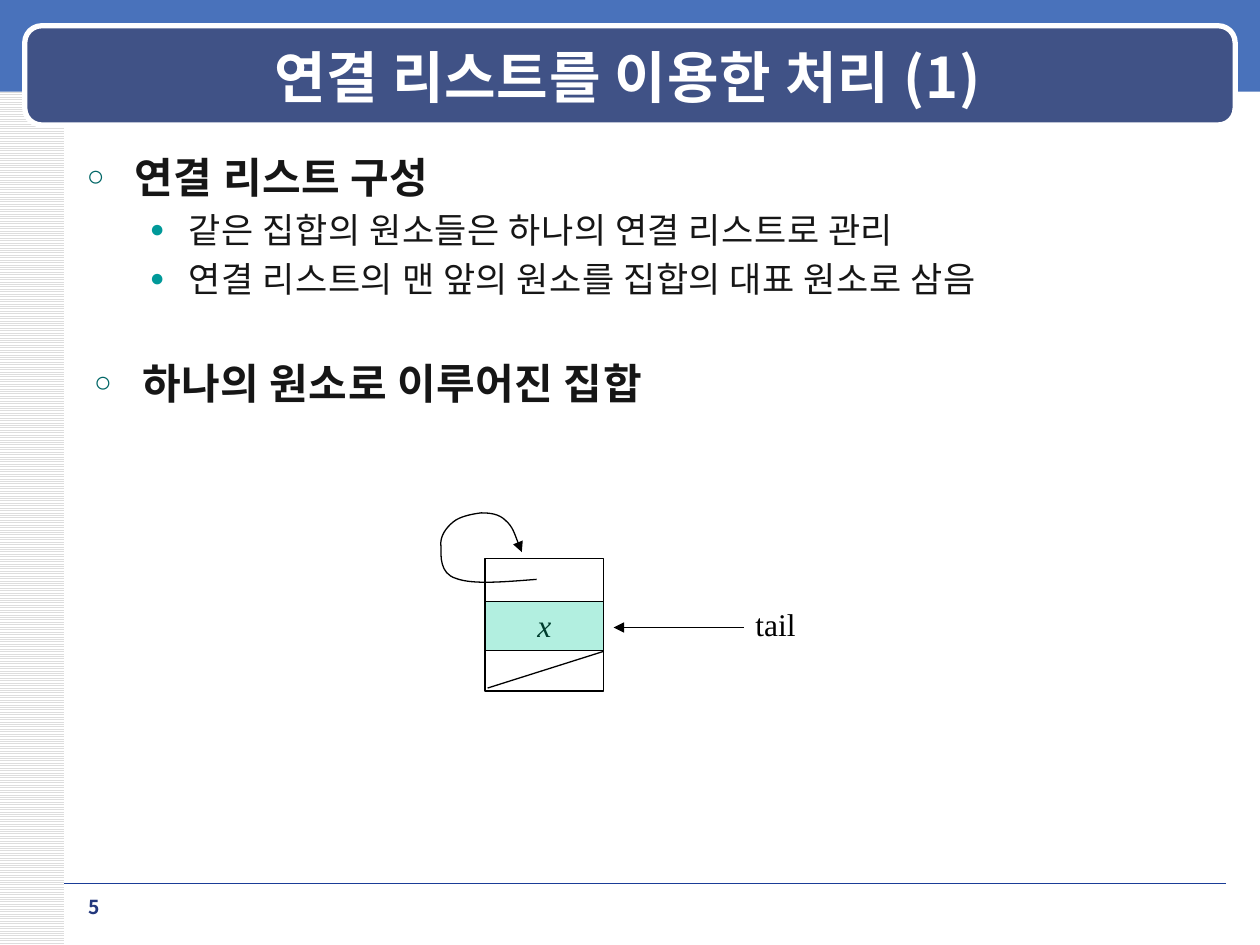
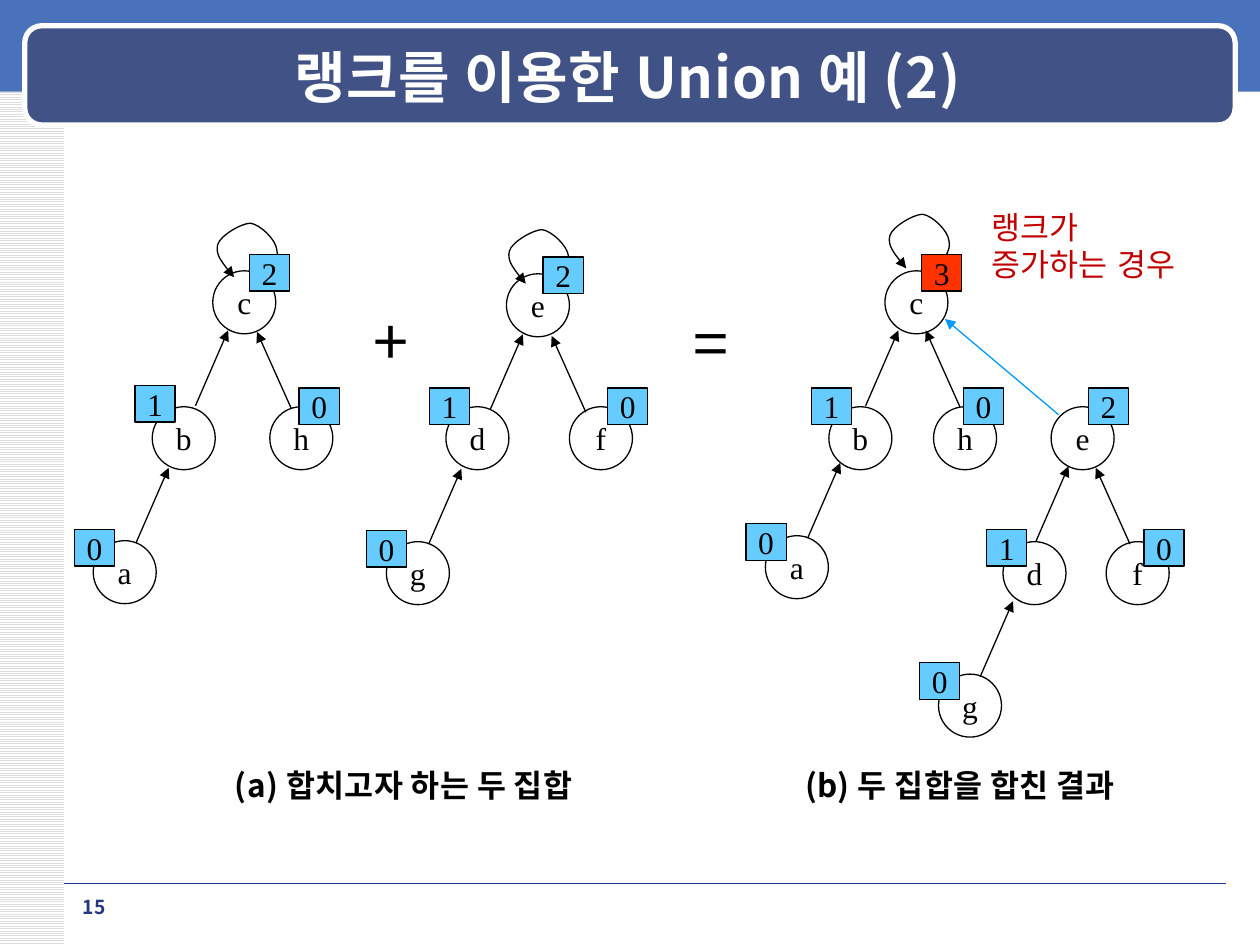
"""Build two lecture slides on disjoint sets: linked lists and union by rank."""
from dataclasses import dataclass

from lxml import etree
from pptx import Presentation
from pptx.dml.color import RGBColor
from pptx.enum.dml import MSO_PATTERN
from pptx.enum.shapes import MSO_CONNECTOR, MSO_SHAPE
from pptx.enum.text import MSO_ANCHOR, PP_ALIGN
from pptx.oxml.ns import qn
from pptx.util import Cm, Pt

RECTANGLE = MSO_SHAPE.RECTANGLE
ROUNDED = MSO_SHAPE.ROUNDED_RECTANGLE
OVAL = MSO_SHAPE.OVAL
STRAIGHT = MSO_CONNECTOR.STRAIGHT
STRIPES = MSO_PATTERN.LIGHT_HORIZONTAL
TOP, MIDDLE = MSO_ANCHOR.TOP, MSO_ANCHOR.MIDDLE
LEFT, CENTER = PP_ALIGN.LEFT, PP_ALIGN.CENTER


@dataclass(frozen=True)
class Theme:
    """Colours, fonts and type sizes of the deck."""
    korean: str = "Noto Sans CJK KR"
    serif: str = "Times New Roman"
    note_font: str = "DejaVu Sans"
    white: str = "FFFFFF"
    black: str = "000000"
    stripe: str = "DDDDDD"
    band: str = "4972BB"
    title_box: str = "405286"
    rule: str = "1A3D97"
    number: str = "23387D"
    body: str = "161616"
    ring: str = "006666"
    dot: str = "009999"
    value: str = "00CC99"
    rank: str = "66CCFF"
    raised: str = "FF3300"
    joined: str = "0099FF"
    note: str = "C00000"
    title_size: int = 32
    sign_size: int = 36
    head_size: int = 24
    item_size: int = 20
    label_size: int = 18
    number_size: int = 11
    thin: float = 0.75
    hairline: float = 0.25
    tracking: float = 1.35


THEME = Theme()
NODE = 1.27
BADGE = (0.81, 0.74)
LEFT_RISE = (0.66, -1.52)
RIGHT_RISE = (-0.69, -1.54)

SELF_LOOP = [
    (0.89, 1.22), (1.09, 0.97), (1.3, 0.74), (1.24, 0.53), (1.22, 0.33),
    (0.91, 0.03), (0.71, 0), (0.53, 0), (0.1, 0.25), (0.05, 0.43),
    (0, 0.61), (0.18, 0.86), (0.38, 1.09)]
LIST_LOOP = [
    (10.82, 11.68), (10.16, 11.73), (9.53, 11.79), (9.19, 11.66),
    (8.86, 11.56), (8.89, 11.2), (8.89, 11.02), (8.86, 10.82),
    (8.99, 10.64), (9.14, 10.52), (9.27, 10.41), (9.53, 10.36),
    (9.7, 10.34), (9.88, 10.34), (10.06, 10.36), (10.19, 10.49),
    (10.34, 10.62), (10.41, 10.87), (10.52, 11.13)]

SELF_LOOP_CORNERS = [(4.34, 4.5), (10.22, 4.63), (17.89, 4.32)]
RANKED_NODES = [
    ("c", (4.29, 5.46), "2", (5.03, 5.13)),
    ("b", (3.07, 8.2), "1", (2.72, 7.77)),
    ("h", (5.44, 8.2), "0", (6.03, 7.82)),
    ("a", (1.88, 10.9), "0", (1.5, 10.67)),
    ("e", (10.21, 5.52), "2", (10.95, 5.18)),
    ("d", (8.99, 8.2), "1", (8.66, 7.82)),
    ("f", (11.48, 8.2), "0", (12.25, 7.82)),
    ("g", (7.79, 10.92), "0", (7.39, 10.69)),
    ("c", (17.84, 5.46), "3", (18.58, 5.13)),
    ("b", (16.71, 8.2), "1", (16.36, 7.82)),
    ("h", (18.82, 8.2), "0", (19.42, 7.82)),
    ("e", (21.19, 8.2), "2", (21.94, 7.82)),
    ("a", (15.43, 10.8), "0", (15.04, 10.56)),
    ("d", (20.22, 10.92), "1", (19.89, 10.67)),
    ("f", (22.3, 10.92), "0", (23.06, 10.67)),
    ("g", (18.92, 13.59), "0", (18.54, 13.36))]
LEFT_CHILD_STARTS = [
    (3.94, 8.18), (2.74, 10.95), (9.88, 8.26), (8.64, 10.97),
    (20.88, 10.92), (16.28, 10.85), (17.45, 8.18), (19.76, 13.64)]
RIGHT_CHILD_STARTS = [(5.87, 8.23), (11.81, 8.31), (22.78, 10.97), (19.35, 8.2)]


def apply(target, values):
    """Set each named attribute of the target."""
    for name, value in values.items():
        setattr(target, name, value)


def add_xml(parent, tag, **attributes):
    """Append a drawing element with its attributes."""
    return etree.SubElement(parent, qn(tag), attributes)


def set_line(shape, color, width, arrow=False):
    """Colour an outline and optionally end it with an arrowhead."""
    shape.line.color.rgb = RGBColor.from_string(color)
    shape.line.width = Pt(width)
    if arrow:
        outline = shape.element.spPr.find(qn("a:ln"))
        add_xml(outline, "a:tailEnd", type="triangle")


def write(para, text, size, color, font=THEME.korean, align=LEFT, **style):
    """Add one formatted run to a paragraph."""
    para.alignment = align
    span = para.add_run()
    span.text = text
    apply(span.font, {"size": Pt(size), "name": font, **style})
    span.font.color.rgb = RGBColor.from_string(color)
    properties = span.font._element
    add_xml(properties, "a:ea", typeface=font)
    if font == THEME.korean:
        properties.set("spc", str(round(size * THEME.tracking)))


def add_text(page, place, text, size, color, anchor=TOP, wrap=True, **style):
    """Add a text box holding one paragraph."""
    box = page.shapes.add_textbox(*map(Cm, place))
    apply(box.text_frame, {"word_wrap": wrap, "vertical_anchor": anchor})
    write(box.text_frame.paragraphs[0], text, size, color, **style)


def add_box(page, kind, place, fill=None, line=None, width=THEME.thin):
    """Add a flat preset shape with an optional fill and outline."""
    box = page.shapes.add_shape(kind, *map(Cm, place))
    box.shadow.inherit = False
    if fill:
        box.fill.solid()
        box.fill.fore_color.rgb = RGBColor.from_string(fill)
    else:
        box.fill.background()
    if line:
        set_line(box, line, width)
    else:
        box.line.fill.background()
    return box


def add_labelled(page, kind, place, text, fill=None, **style):
    """Add a thin outlined shape with a centred serif label."""
    box = add_box(page, kind, place, fill, THEME.black)
    apply(box.text_frame, {"word_wrap": False, "vertical_anchor": MIDDLE})
    write(box.text_frame.paragraphs[0], text, THEME.label_size, THEME.black,
          THEME.serif, CENTER, **style)


def add_line(page, start, end, color=THEME.black, width=THEME.thin, arrow=False):
    """Join two points with a straight line."""
    line = page.shapes.add_connector(STRAIGHT, *map(Cm, (*start, *end)))
    set_line(line, color, width, arrow)
    add_xml(line.element.spPr, "a:effectLst")


def bend(curve):
    """Turn each three straight segments of a freeform into one cubic curve."""
    track = curve.element.spPr.find(".//" + qn("a:path"))
    segments = track.findall(qn("a:lnTo"))
    for first in range(0, len(segments), 3):
        cubic = add_xml(track, "a:cubicBezTo")
        for segment in segments[first:first + 3]:
            cubic.append(segment[0])
            track.remove(segment)


def add_curve_arrow(page, controls, corner=(0, 0)):
    """Draw a curved arrow whose controls are measured from a corner."""
    points = [(Cm(corner[0] + x), Cm(corner[1] + y)) for x, y in controls]
    builder = page.shapes.build_freeform(*points[0])
    builder.add_line_segments(points[1:], close=False)
    curve = builder.convert_to_shape()
    bend(curve)
    curve.shadow.inherit = False
    curve.fill.background()
    set_line(curve, THEME.black, THEME.thin, arrow=True)


def add_bullet(para, text, level, indent, hanging, before):
    """Fill a paragraph as a heading or an item of the outline."""
    size = THEME.item_size if level else THEME.head_size
    apply(para, {"level": level, "line_spacing": 1.0, "space_before": Pt(before)})
    write(para, text, size, THEME.body, bold=not level)
    properties = para._p.get_or_add_pPr()
    properties.set("marL", str(Cm(indent)))
    properties.set("indent", str(-Cm(hanging)))
    color = add_xml(properties, "a:buClr")
    add_xml(color, "a:srgbClr", val=THEME.dot if level else THEME.ring)
    add_xml(properties, "a:buSzPct", val="70000")
    add_xml(properties, "a:buFont", typeface=THEME.serif)
    add_xml(properties, "a:buChar", char="●" if level else "○")


def add_page(deck, title, number):
    """Add a blank page with the shared bands, title and page number."""
    page = deck.slides.add_slide(deck.slide_layouts[6])
    side = add_box(page, RECTANGLE, (0, 0, 1.3, 19.05))
    side.fill.patterned()
    side.fill.pattern = STRIPES
    side.fill.fore_color.rgb = RGBColor.from_string(THEME.stripe)
    side.fill.back_color.rgb = RGBColor.from_string(THEME.white)
    add_box(page, RECTANGLE, (0, 0, 25.4, 1.85), THEME.band)
    add_line(page, (1.3, 17.81), (24.71, 17.81), THEME.rule, THEME.hairline)
    plate = add_box(page, ROUNDED, (0.5, 0.52, 24.4, 2), THEME.title_box, THEME.white, 3)
    plate.adjustments[0] = 0.17
    add_text(page, (1.8, 0.74, 21.7, 1.58), title, THEME.title_size, THEME.white,
             anchor=MIDDLE, align=CENTER, bold=True)
    add_text(page, (1.3, 17.93, 1.2, 0.69), number, THEME.number_size, THEME.number,
             align=CENTER, bold=True)
    return page


def add_outline(page):
    """Write the bulleted text about the linked list."""
    lines = [
        ("연결 리스트 구성", 0, 0.97, 0.97, 4.8),
        ("같은 집합의 원소들은 하나의 연결 리스트로 관리", 1, 2.06, 0.79, 4),
        ("연결 리스트의 맨 앞의 원소를 집합의 대표 원소로 삼음", 1, 2.06, 0.79, 4),
        ("하나의 원소로 이루어진 집합", 0, 1.12, 0.97, 33)]
    box = page.shapes.add_textbox(*map(Cm, (1.5, 2.92, 22.61, 14.6)))
    box.text_frame.word_wrap = True
    for index, line in enumerate(lines):
        para = box.text_frame.add_paragraph() if index else box.text_frame.paragraphs[0]
        add_bullet(para, *line)


def add_list_node(page):
    """Draw the single list node with its links."""
    left, right, upper, lower = 9.78, 12.17, 12.12, 13.11
    for height in (upper, lower):
        add_line(page, (left, height), (right, height))
    add_line(page, (right, 13.13), (9.83, 13.87))
    add_curve_arrow(page, LIST_LOOP)
    add_text(page, (14.98, 12.07, 1.32, 1.02), "tail", THEME.label_size, THEME.black,
             wrap=False, font=THEME.serif)
    add_line(page, (14.99, 12.65), (12.37, 12.65), arrow=True)
    add_labelled(page, RECTANGLE, (left, 11.26, right - left, 2.67), "x", italic=True)
    value = add_box(page, RECTANGLE, (left, upper, right - left, lower - upper),
                    THEME.value, THEME.black)
    color = value.element.spPr.find(qn("a:solidFill"))[0]
    add_xml(color, "a:alpha", val="30000")


def add_trees(page):
    """Draw the ranked trees before and after the union."""
    for corner in SELF_LOOP_CORNERS:
        add_curve_arrow(page, SELF_LOOP, corner)
    for name, node_corner, rank, badge_corner in RANKED_NODES:
        add_labelled(page, OVAL, (*node_corner, NODE, NODE), name)
        fill = THEME.raised if rank == "3" else THEME.rank
        add_labelled(page, RECTANGLE, (*badge_corner, *BADGE), rank, fill)
    for starts, (run, rise) in ((LEFT_CHILD_STARTS, LEFT_RISE),
                                (RIGHT_CHILD_STARTS, RIGHT_RISE)):
        for x, y in starts:
            add_line(page, (x, y), (x + run, y + rise), arrow=True)
    add_line(page, (21.34, 8.36), (19.05, 6.43), THEME.joined, arrow=True)


def add_tree_texts(page):
    """Write the signs, captions and note around the trees."""
    for sign, left, top in (("+", 7.29, 5.97), ("=", 13.74, 6.02)):
        add_text(page, (left, top, 1.3, 1.78), sign, THEME.sign_size, THEME.black,
                 wrap=False)
    for caption, left, width, align in (("(a) 합치고자 하는 두 집합", 3.43, 9.42, CENTER),
                                        ("(b) 두 집합을 합친 결과", 15.98, 7.49, LEFT)):
        add_text(page, (left, 15.32, width, 1.02), caption, THEME.label_size,
                 THEME.black, align=align, bold=True)
    add_text(page, (19.74, 4.06, 4.47, 1.8), "랭크가 증가하는 경우", THEME.label_size,
             THEME.note, font=THEME.note_font)


def main():
    """Build and save the deck."""
    deck = Presentation()
    apply(deck, {"slide_width": Cm(25.4), "slide_height": Cm(19.05)})
    page = add_page(deck, "연결 리스트를 이용한 처리 (1)", "5")
    add_outline(page)
    add_list_node(page)
    page = add_page(deck, "랭크를 이용한 Union 예 (2)", "15")
    add_trees(page)
    add_tree_texts(page)
    deck.save("out.pptx")


if __name__ == "__main__":
    main()
